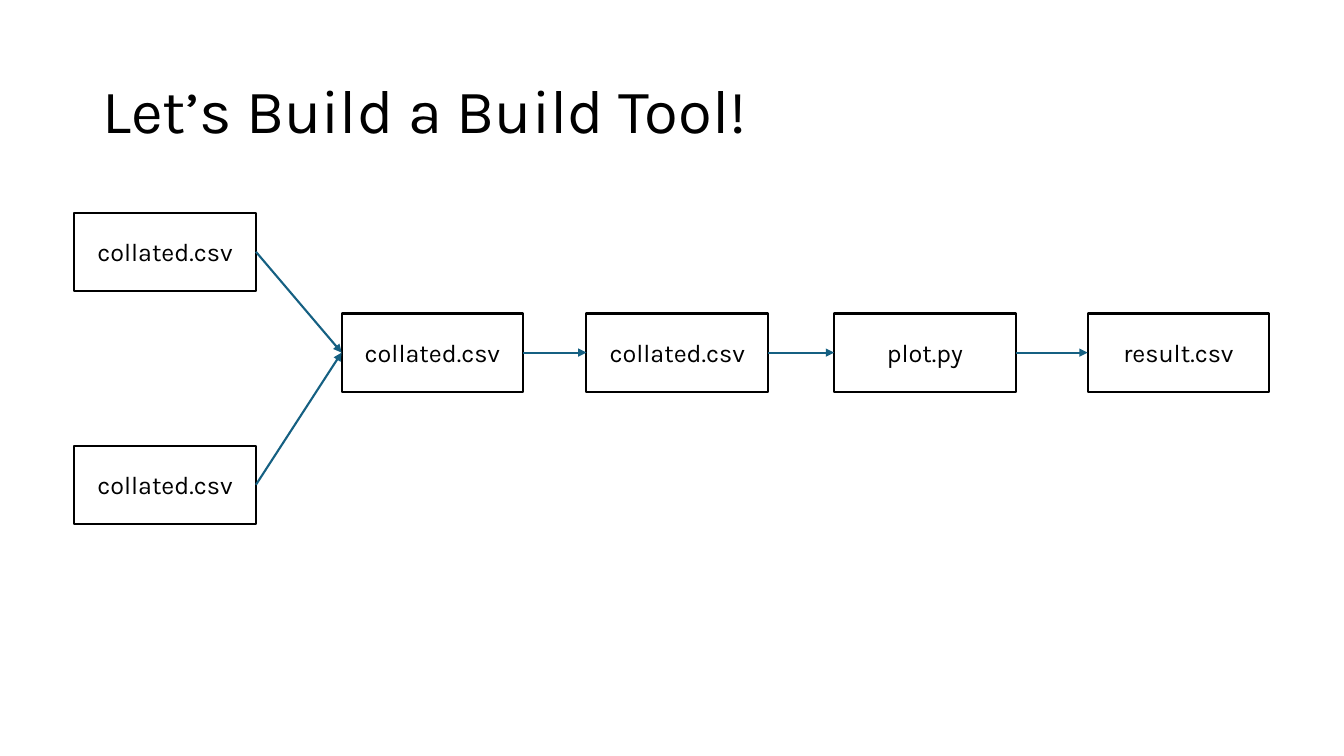
from pptx import Presentation
from pptx.dml.color import RGBColor
from pptx.enum.shapes import MSO_CONNECTOR as Connector, MSO_SHAPE as Shape
from pptx.enum.text import MSO_ANCHOR as Anchor, MSO_AUTO_SIZE as AutoSize, PP_ALIGN as Align
from pptx.oxml.ns import qn
from pptx.util import Cm, Pt
from lxml.etree import SubElement

BLACK = RGBColor(0x00, 0x00, 0x00)
WHITE = RGBColor(0xFF, 0xFF, 0xFF)
TEAL = RGBColor(0x15, 0x60, 0x82)
FONT = "Karla"
BOX_WIDTH, BOX_HEIGHT = Cm(4.58), Cm(1.97)
CHAIN_TOP = 7.9
RIGHT_SIDE, LEFT_SIDE = 3, 1


def format_text(para, size, align):
    para.alignment = align
    para.font.name = FONT
    para.font.size = Pt(size)
    para.font.color.rgb = BLACK


deck = Presentation()
deck.slide_width, deck.slide_height = Cm(33.87), Cm(19.05)
slide = deck.slides.add_slide(deck.slide_layouts[5])

# Title
title = slide.shapes.title
title.left, title.top, title.width, title.height = Cm(2.33), Cm(1.02), Cm(29.21), Cm(3.68)
title.text_frame.text = "Let’s Build a Build Tool!"
title.text_frame.vertical_anchor = Anchor.MIDDLE
title.text_frame.auto_size = AutoSize.NONE
title_para = title.text_frame.paragraphs[0]
title_para.line_spacing = 0.9
format_text(title_para, 44, Align.LEFT)

# File and script boxes: key, label, left, top
steps = [
    ("upper input", "collated.csv", 1.87, 5.36),
    ("lower input", "collated.csv", 1.87, 11.23),
    ("merge", "collated.csv", 8.61, CHAIN_TOP),
    ("collated", "collated.csv", 14.78, CHAIN_TOP),
    ("plot", "plot.py", 21.02, CHAIN_TOP),
    ("result", "result.csv", 27.41, CHAIN_TOP),
]
boxes = {}
for key, label, left, top in steps:
    box = slide.shapes.add_shape(Shape.RECTANGLE, Cm(left), Cm(top), BOX_WIDTH, BOX_HEIGHT)
    box.shadow.inherit = False
    box.fill.solid()
    box.fill.fore_color.rgb = WHITE
    box.line.color.rgb = BLACK
    box.line.width = Pt(1.5)
    box.text_frame.text = label
    box.text_frame.vertical_anchor = Anchor.MIDDLE
    format_text(box.text_frame.paragraphs[0], 18, Align.CENTER)
    boxes[key] = box

# Arrows along the build graph
links = [
    ("upper input", "merge"),
    ("lower input", "merge"),
    ("merge", "collated"),
    ("collated", "plot"),
    ("plot", "result"),
]
for source, target in links:
    arrow = slide.shapes.add_connector(Connector.STRAIGHT, 0, 0, 0, 0)
    arrow.begin_connect(boxes[source], RIGHT_SIDE)
    arrow.end_connect(boxes[target], LEFT_SIDE)
    arrow.line.color.rgb = TEAL
    arrow.line.width = Pt(1.5)
    SubElement(arrow.line._get_or_add_ln(), qn("a:tailEnd"), type="triangle")
    SubElement(arrow._element.spPr, qn("a:effectLst"))

deck.save("out.pptx")
